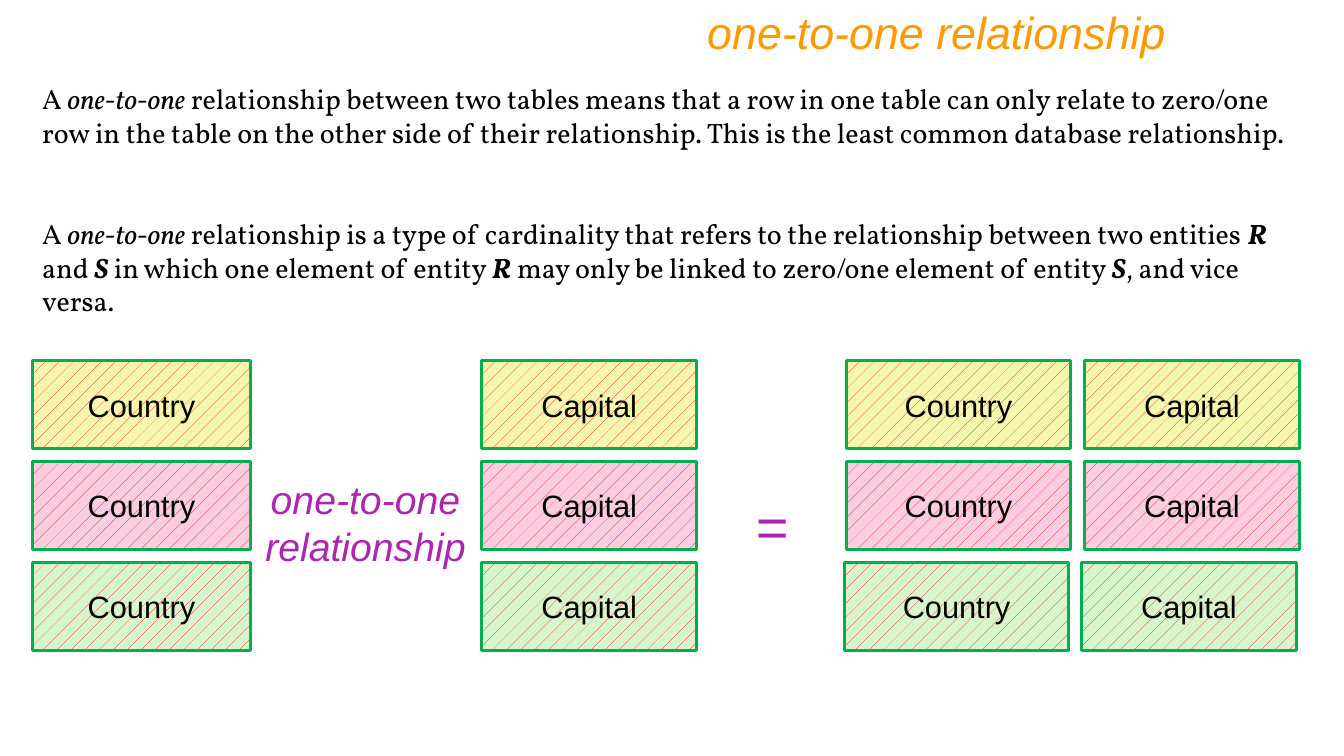
from dataclasses import dataclass

from pptx import Presentation
from pptx.dml.color import RGBColor
from pptx.enum.dml import MSO_PATTERN
from pptx.enum.shapes import MSO_SHAPE
from pptx.enum.text import MSO_ANCHOR, MSO_AUTO_SIZE, PP_ALIGN
from pptx.util import Pt

BLACK = RGBColor(0x00, 0x00, 0x00)
ORANGE = RGBColor(0xFF, 0x99, 0x00)
PURPLE = RGBColor(0xAC, 0x26, 0xAF)
GREEN = RGBColor(0x00, 0xB0, 0x50)
RED = RGBColor(0xFF, 0x00, 0x00)
YELLOW = RGBColor(0xF5, 0xF7, 0xAF)
PINK = RGBColor(0xFC, 0xCC, 0xE1)
MINT = RGBColor(0xD8, 0xF6, 0xCE)

PLAIN = {}
ITALIC = {"italic": True}
STRONG = {"bold": True, "italic": True}
TITLE = {"name": "Arial", "size": Pt(32), "italic": True}
BODY = {"name": "Vollkorn", "size": Pt(20)}
LABEL = {"name": "Arial", "size": Pt(28), "italic": True}
SIGN = {"name": "Arial", "size": Pt(40), "italic": True}
CELL = {"name": "Arial", "size": Pt(22)}


@dataclass
class TextBox:
    left: float
    top: float
    width: float
    height: float
    runs: list[tuple[str, dict]]
    style: dict
    color: RGBColor = BLACK
    align: PP_ALIGN = PP_ALIGN.LEFT


@dataclass
class Column:
    label: str
    left: float
    width: float
    last_shift: float = 0  # offset of the bottom row


TEXTS = [
    TextBox(120, 0, 720, 46, [("one-to-one relationship", PLAIN)],
            TITLE, ORANGE, PP_ALIGN.RIGHT),
    TextBox(23, 54.7, 910.8, 80, [
        ("A ", PLAIN),
        ("one-to-one", ITALIC),
        (" relationship between two tables means that a row in one table can only "
         "relate to zero/one row in the table on the other side of their "
         "relationship. This is the least common database relationship.", PLAIN),
    ], BODY),
    TextBox(23, 151.2, 893.5, 80, [
        ("A ", PLAIN),
        ("one-to-one", ITALIC),
        (" relationship is a type of cardinality that refers to the relationship "
         "between two entities ", PLAIN),
        ("R", STRONG),
        (" and ", PLAIN),
        ("S", STRONG),
        (" in which one element of entity ", PLAIN),
        ("R", STRONG),
        (" may only be linked to zero/one element of entity ", PLAIN),
        ("S", STRONG),
        (", and vice versa.", PLAIN),
    ], BODY),
    TextBox(180.7, 336.2, 160.6, 75, [("one-to-one relationship", PLAIN)],
            LABEL, PURPLE, PP_ALIGN.CENTER),
    TextBox(531.4, 347.8, 39.6, 55.4, [("=", PLAIN)],
            SIGN, PURPLE, PP_ALIGN.CENTER),
]

COLUMNS = [
    Column("Country", 23, 156.2),
    Column("Capital", 344.2, 153.4),
    Column("Country", 604.8, 159.8, -1.4),
    Column("Capital", 774.7, 153.4, -2.1),
]
ROW_COLORS = [YELLOW, PINK, MINT]
ROW_TOP, ROW_PITCH, ROW_HEIGHT = 257.8, 72, 62.6


def write(tf, runs: list[tuple[str, dict]], style: dict,
          color: RGBColor, align: PP_ALIGN) -> None:
    tf.word_wrap = True
    p = tf.paragraphs[0]
    p.alignment = align
    for text, emphasis in runs:
        r = p.add_run()
        r.text = text
        for name, value in {**style, **emphasis}.items():
            setattr(r.font, name, value)
        r.font.color.rgb = color


def add_text(s, box: TextBox) -> None:
    sp = s.shapes.add_textbox(Pt(box.left), Pt(box.top), Pt(box.width), Pt(box.height))
    tf = sp.text_frame
    write(tf, box.runs, box.style, box.color, box.align)
    tf.auto_size = MSO_AUTO_SIZE.SHAPE_TO_FIT_TEXT


def add_cell(s, column: Column, left: float, top: float, color: RGBColor) -> None:
    sp = s.shapes.add_shape(MSO_SHAPE.RECTANGLE, Pt(left), Pt(top),
                            Pt(column.width), Pt(ROW_HEIGHT))
    sp.shadow.inherit = False
    sp.fill.patterned()
    sp.fill.pattern = MSO_PATTERN.PERCENT_5
    sp.fill.fore_color.rgb = RED
    sp.fill.back_color.rgb = color
    sp.line.color.rgb = GREEN
    sp.line.width = Pt(2.25)
    tf = sp.text_frame
    tf.vertical_anchor = MSO_ANCHOR.MIDDLE
    write(tf, [(column.label, PLAIN)], CELL, BLACK, PP_ALIGN.CENTER)


def main() -> None:
    prs = Presentation()
    prs.slide_width, prs.slide_height = Pt(960), Pt(540)
    s = prs.slides.add_slide(prs.slide_layouts[6])

    # Title, definitions and diagram labels
    for box in TEXTS:
        add_text(s, box)

    # Matching rows of countries and capitals
    for row, color in enumerate(ROW_COLORS):
        is_last = row == len(ROW_COLORS) - 1
        for column in COLUMNS:
            left = column.left + (column.last_shift if is_last else 0)
            add_cell(s, column, left, ROW_TOP + row * ROW_PITCH, color)

    prs.save("out.pptx")


if __name__ == "__main__":
    main()
